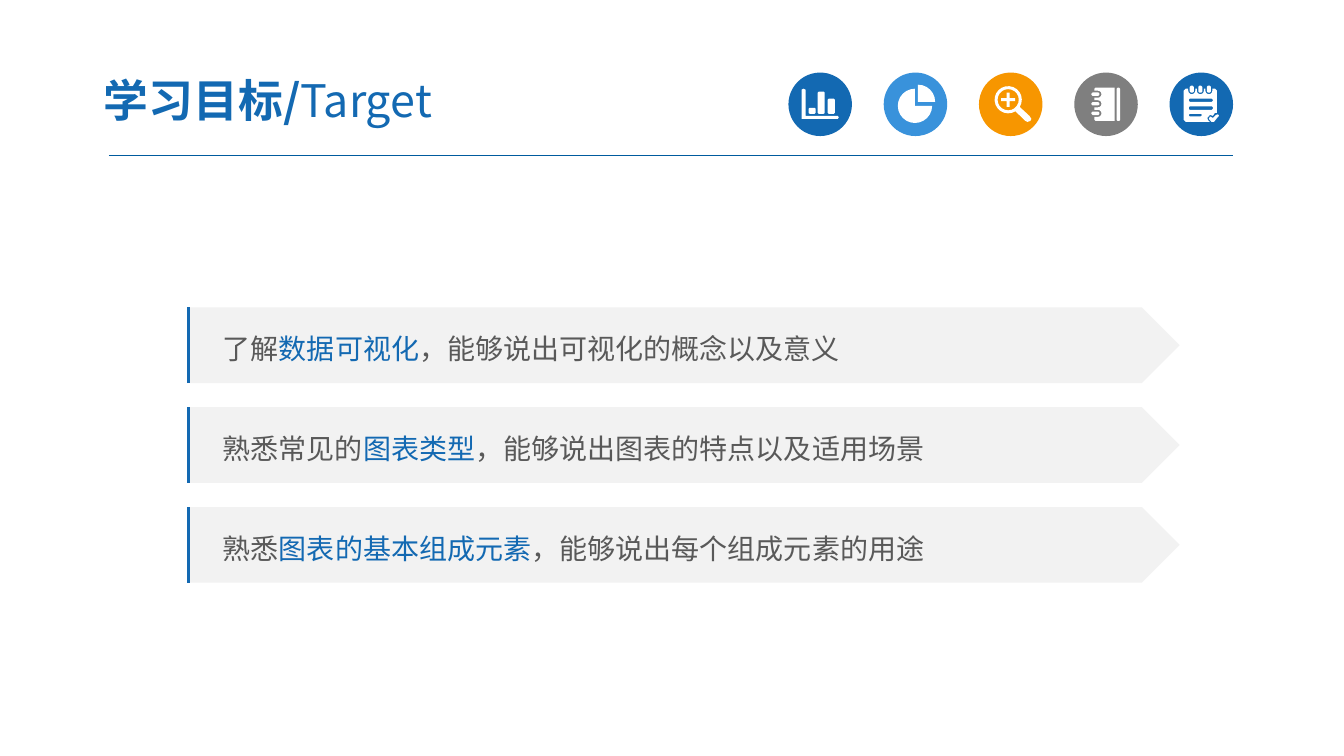
from math import cos, radians, sin

from lxml.etree import SubElement
from pptx import Presentation
from pptx.dml.color import RGBColor
from pptx.enum.shapes import MSO_CONNECTOR, MSO_SHAPE
from pptx.enum.text import MSO_ANCHOR, PP_ALIGN
from pptx.oxml.ns import qn
from pptx.util import Inches, Pt

FONT = "Noto Sans CJK SC"
BLUE, SKY, ORANGE, GREY = "1369B2", "3992DB", "F79600", "7F7F7F"
WHITE, PALE, TEXT, RULE = "FFFFFF", "F2F2F2", "595959", "005B9E"
BADGE_GRID = 63  # cells across one badge

GOALS = [("了解", "数据可视化", "，能够说出可视化的概念以及意义"),
         ("熟悉常见的", "图表类型", "，能够说出图表的特点以及适用场景"),
         ("熟悉", "图表的基本组成元素", "，能够说出每个组成元素的用途")]


# Icon outlines in badge cells; an outline inside another one is a hole
def arc(x, y, radius, start, end, steps):
    angles = [radians(start + (end - start) * i / steps) for i in range(steps + 1)]
    return [(x + radius * cos(a), y + radius * sin(a)) for a in angles]


def block(x, y, w, h, cut=1):
    right, bottom = x + w, y + h
    return [(x + cut, y), (right - cut, y), (right, y + cut), (right, bottom - cut),
            (right - cut, bottom), (x + cut, bottom), (x, bottom - cut), (x, y + cut)]


def bar_icon():
    axes = [(13, 17), (15, 16), (17, 17), (17, 43), (49, 43), (50, 44.5),
            (49, 46), (13, 46)]
    return [axes, block(20, 35, 7, 6), block(29, 19, 7, 22), block(39, 26, 7, 15)]


def pie_icon():
    return [[(34, 29)] + arc(34, 29, 17, -90, 0, 6),
            [(31, 33)] + arc(31, 33, 17, 0, 270, 18)]


def zoom_icon():
    lens = arc(29, 27, 13.5, 58, 392, 20)
    handle = [(50, 43), (52, 46), (51, 48), (48, 49), (46, 48)]
    plus = [(27.5, 20), (30.5, 20), (30.5, 25.5), (36, 25.5), (36, 28.5), (30.5, 28.5),
            (30.5, 34), (27.5, 34), (27.5, 28.5), (22, 28.5), (22, 25.5), (27.5, 25.5)]
    return [lens + handle, arc(29, 27, 10.5, 0, 342, 19), plus]


def notebook_icon():
    ring_rows = (21.5, 31, 40.5)
    page = [(21, 15), (40, 15), (40, 48), (21, 48), (20, 47)]
    for y in reversed(ring_rows):
        page += [(20, y + 3.5)] + arc(23.5, y, 3.5, 90, -90, 6) + [(20, y - 3.5)]
    page.append((20, 16))
    return [page, block(42, 15, 3.5, 33)] + [block(17, y - 1.7, 8, 3.4, 1.2)
                                             for y in ring_rows]


def checklist_icon():
    ring_columns = (22, 30.5, 39)
    sheet = [(14, 18), (16, 16)]
    for x in ring_columns:
        sheet += [(x - 3.5, 16)] + arc(x, 18, 3.5, 180, 0, 6) + [(x + 3.5, 16)]
    sheet += [(45, 16), (47, 18), (47, 40), (45, 40), (43, 43), (40, 42), (37.5, 45),
              (38, 47), (40, 49), (16, 49), (14, 47)]
    tick = [(48, 44), (44, 49), (41.5, 49), (39, 46), (40, 43.5), (43, 45),
            (46, 42), (48, 41.5), (49, 43)]
    rings = [block(x - 2, 13, 4, 7, 1.2) for x in ring_columns]
    lines = [block(19, y, w, h) for y, w, h in
             ((26, 24, 3), (33.5, 24, 3.5), (41, 13, 2.5))]
    return [sheet, tick] + rings + lines


BADGES = [(BLUE, bar_icon), (SKY, pie_icon), (ORANGE, zoom_icon),
          (GREY, notebook_icon), (BLUE, checklist_icon)]


def colour(hex_value):
    return RGBColor.from_string(hex_value)


def paint(shape, fill):
    shape.shadow.inherit = False
    shape.fill.solid()
    shape.fill.fore_color.rgb = colour(fill)
    shape.line.fill.background()


def add_preset(shapes, preset, left, top, width, height, fill):
    shape = shapes.add_shape(preset, Inches(left), Inches(top),
                             Inches(width), Inches(height))
    paint(shape, fill)
    return shape


def add_outline(shapes, left, top, cell, contours, close=True):
    placed = [[(Inches(left + x * cell), Inches(top + y * cell)) for x, y in contour]
              for contour in contours]
    builder = shapes.build_freeform(*placed[0][0])
    for index, points in enumerate(placed):
        if index:
            builder.move_to(*points[0])
        builder.add_line_segments(points[1:], close=close)
    return builder.convert_to_shape()


def add_run(paragraph, text, size, ink):
    run = paragraph.add_run()
    run.text = text
    run.font.size = Pt(size)
    run.font.color.rgb = colour(ink)
    run.font.name = FONT
    SubElement(run._r.get_or_add_rPr(), qn("a:ea"), typeface=FONT)
    return run


def add_header_rule(slide, left, right, y):
    rule = slide.shapes.add_connector(MSO_CONNECTOR.STRAIGHT, Inches(left), Inches(y),
                                      Inches(right), Inches(y))
    rule.line.color.rgb = colour(RULE)
    rule.line.width = Pt(0.75)
    SubElement(rule._element.spPr, qn("a:effectLst"))


def add_title(slide, left, top, width, height):
    box = slide.shapes.add_textbox(Inches(left), Inches(top),
                                   Inches(width), Inches(height))
    frame = box.text_frame
    frame.word_wrap = True
    frame.vertical_anchor = MSO_ANCHOR.MIDDLE
    frame.margin_left = frame.margin_right = Inches(0.13)
    frame.margin_top = frame.margin_bottom = Inches(0.07)
    for text, bold in (("学习目标/", True), ("Target", False)):
        add_run(frame.paragraphs[0], text, 32, BLUE).font.bold = bold


def add_badge_row(slide, left, top, width, size):
    pitch = (width - size) / (len(BADGES) - 1)
    for column, (fill, icon) in enumerate(BADGES):
        shapes = slide.shapes.add_group_shape().shapes
        badge_left = left + column * pitch
        add_preset(shapes, MSO_SHAPE.OVAL, badge_left, top, size, size, fill)
        paint(add_outline(shapes, badge_left, top, size / BADGE_GRID, icon()), WHITE)


def add_goal(slide, left, top, width, height, phrases):
    shapes = slide.shapes.add_group_shape().shapes
    banner = add_preset(shapes, MSO_SHAPE.PENTAGON, left, top, width, height, PALE)
    frame = banner.text_frame
    frame.word_wrap = True
    frame.vertical_anchor = MSO_ANCHOR.MIDDLE
    frame.margin_left = Inches(0.34)
    goal = frame.paragraphs[0]
    goal.alignment = PP_ALIGN.LEFT
    goal.line_spacing = 1.2
    for text, ink in zip(phrases, (TEXT, BLUE, TEXT)):
        add_run(goal, text, 20, ink)
    edge = add_outline(shapes, left, top, height, [[(0, 1), (0, 0)]], close=False)
    edge.shadow.inherit = False
    edge.fill.background()
    edge.line.color.rgb = colour(BLUE)
    edge.line.width = Pt(1.5)


def add_goals(slide, left, top, width, height, banner_height):
    pitch = (height - banner_height) / (len(GOALS) - 1)
    for row, phrases in enumerate(GOALS):
        add_goal(slide, left, top + row * pitch, width, banner_height, phrases)


def main():
    deck = Presentation()
    deck.slide_width, deck.slide_height = Inches(13.33), Inches(7.5)
    slide = deck.slides.add_slide(deck.slide_layouts[6])
    # Header
    add_header_rule(slide, 1.08, 12.23, 1.54)
    add_badge_row(slide, 7.82, 0.72, 4.41, 0.63)
    add_title(slide, 0.9, 0.63, 5.22, 0.72)
    # Learning goals
    add_goals(slide, 1.87, 3.05, 9.83, 2.73, 0.75)
    deck.save("out.pptx")


if __name__ == "__main__":
    main()
